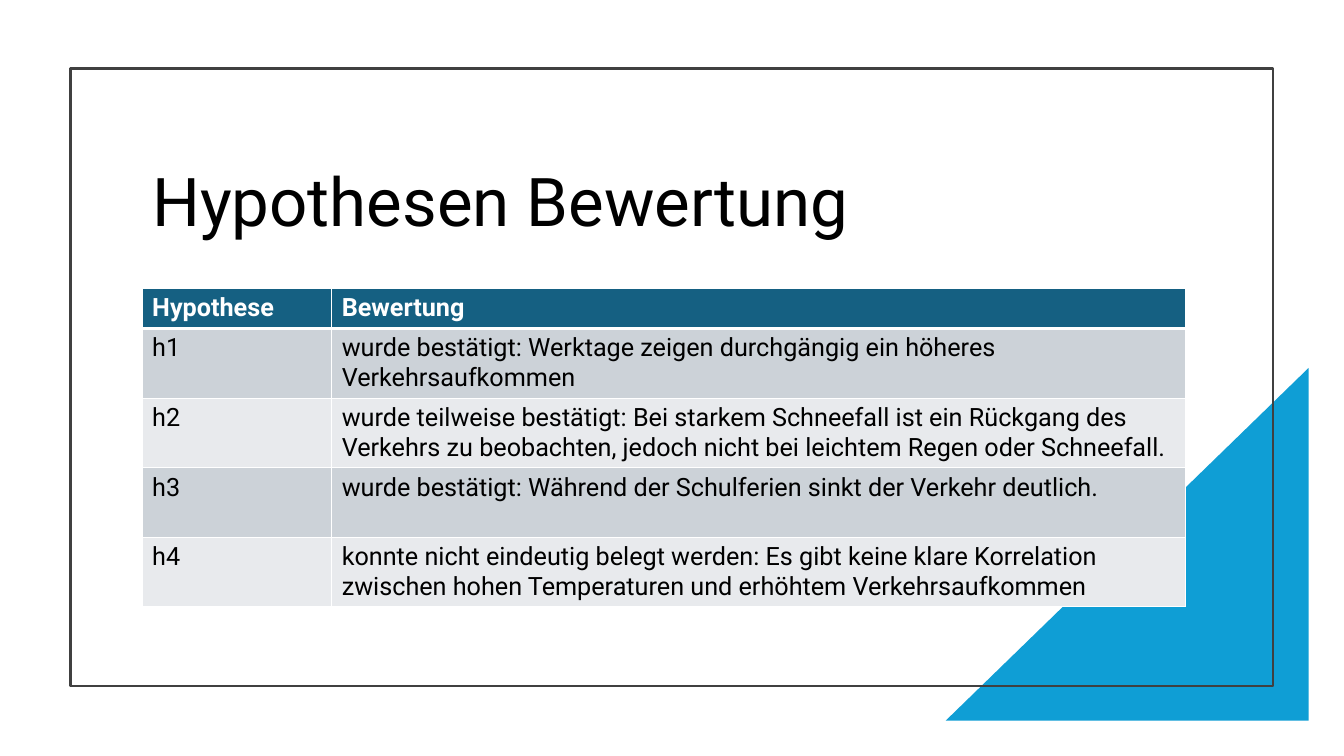
import dataclasses

import lxml.etree
import pptx
import pptx.dml.color
import pptx.enum.shapes
import pptx.enum.text
import pptx.oxml.ns
import pptx.util

Inches = pptx.util.Inches
Pt = pptx.util.Pt
SHAPES = pptx.enum.shapes.MSO_SHAPE
qn = pptx.oxml.ns.qn


@dataclasses.dataclass(frozen=True)
class Theme:
    font: str = "Roboto"
    title_size: int = 48
    table_size: int = 18
    text: str = "000000"
    light: str = "FFFFFF"
    accent: str = "0F9ED5"
    frame: str = "404040"
    header: str = "156082"
    bands: tuple = ("CCD2D8", "E8EAED")


ASSESSMENTS = [
    ("Hypothese", "Bewertung"),
    ("h1", "wurde bestätigt: Werktage zeigen durchgängig ein höheres Verkehrsaufkommen"),
    ("h2", "wurde teilweise bestätigt: Bei starkem Schneefall ist ein Rückgang des "
           "Verkehrs zu beobachten, jedoch nicht bei leichtem Regen oder Schneefall."),
    ("h3", "wurde bestätigt: Während der Schulferien sinkt der Verkehr deutlich."),
    ("h4", "konnte nicht eindeutig belegt werden: Es gibt keine klare Korrelation "
           "zwischen hohen Temperaturen und erhöhtem Verkehrsaufkommen"),
]


def rgb(value):
    return pptx.dml.color.RGBColor.from_string(value)


class SlideBuilder:
    """Adds elements in one theme to the current slide."""

    def __init__(self, slide, theme):
        self.slide = slide
        self.theme = theme

    def style_text(self, paragraph, size, color, bold=False):
        for run in paragraph.runs:
            run.font.name = self.theme.font
            run.font.size = Pt(size)
            run.font.bold = bold
            run.font.color.rgb = rgb(color)

    def shape(self, preset, left, top, width, height, fill=None, line=None):
        shape = self.slide.shapes.add_shape(
            preset, Inches(left), Inches(top), Inches(width), Inches(height))
        shape.shadow.inherit = False
        if fill:
            shape.fill.solid()
            shape.fill.fore_color.rgb = rgb(fill)
        else:
            shape.fill.background()
        if line:
            shape.line.color.rgb = rgb(line)
            shape.line.width = Pt(1.5)
        else:
            shape.line.fill.background()
        return shape

    def title(self, text, left, top, width, height):
        """Fill the title placeholder and bring it in front of the decoration."""
        title = self.slide.shapes.title
        title.left, title.top = Inches(left), Inches(top)
        title.width, title.height = Inches(width), Inches(height)
        frame = title.text_frame
        frame.text = text
        frame.word_wrap = True
        frame.auto_size = pptx.enum.text.MSO_AUTO_SIZE.NONE
        frame.vertical_anchor = pptx.enum.text.MSO_ANCHOR.MIDDLE
        heading = frame.paragraphs[0]
        heading.alignment = pptx.enum.text.PP_ALIGN.LEFT
        heading.line_spacing = 0.9
        self.style_text(heading, self.theme.title_size, self.theme.text)
        title.element.getparent().append(title.element)

    def cell_borders(self, cell, top=1, bottom=1):
        properties = cell._tc.get_or_add_tcPr()
        for side, width in (("L", 1), ("R", 1), ("T", top), ("B", bottom)):
            border = lxml.etree.SubElement(
                properties, qn(f"a:ln{side}"), w=str(Pt(width)))
            fill = lxml.etree.SubElement(border, qn("a:solidFill"))
            lxml.etree.SubElement(fill, qn("a:srgbClr"), val=self.theme.light)

    def table(self, rows, left, top, column_widths, header_height, row_height):
        heights = [header_height] + [row_height] * (len(rows) - 1)
        table = self.slide.shapes.add_table(
            len(rows), len(column_widths), Inches(left), Inches(top),
            Inches(sum(column_widths)), Inches(sum(heights))).table
        for column, width in zip(table.columns, column_widths):
            column.width = Inches(width)
        for index, (entries, height) in enumerate(zip(rows, heights)):
            table.rows[index].height = Inches(height)
            is_header = index == 0
            fill = self.theme.header if is_header else self.theme.bands[(index - 1) % 2]
            color = self.theme.light if is_header else self.theme.text
            for cell, entry in zip(table.rows[index].cells, entries):
                self.cell_borders(cell, top=3 if index == 1 else 1,
                                  bottom=3 if is_header else 1)
                cell.fill.solid()
                cell.fill.fore_color.rgb = rgb(fill)
                cell.text_frame.text = entry
                self.style_text(cell.text_frame.paragraphs[0],
                                self.theme.table_size, color, bold=is_header)


def main():
    presentation = pptx.Presentation()
    presentation.slide_width = Inches(13.33)
    presentation.slide_height = Inches(7.5)
    theme = Theme()
    title_only = presentation.slide_layouts[5]
    builder = SlideBuilder(presentation.slides.add_slide(title_only), theme)

    corner = builder.shape(SHAPES.RIGHT_TRIANGLE, 9.38, 3.65, 3.6, 3.5, fill=theme.accent)
    corner.element.spPr.xfrm.set("flipH", "1")
    builder.shape(SHAPES.RECTANGLE, 0.7, 0.68, 11.93, 6.13, line=theme.frame)
    builder.title("Hypothesen Bewertung", 1.41, 1.15, 8.83, 1.77)
    builder.table(ASSESSMENTS, 1.41, 2.86, column_widths=(1.88, 8.47),
                  header_height=0.4, row_height=0.69)
    presentation.save("out.pptx")


if __name__ == "__main__":
    main()
